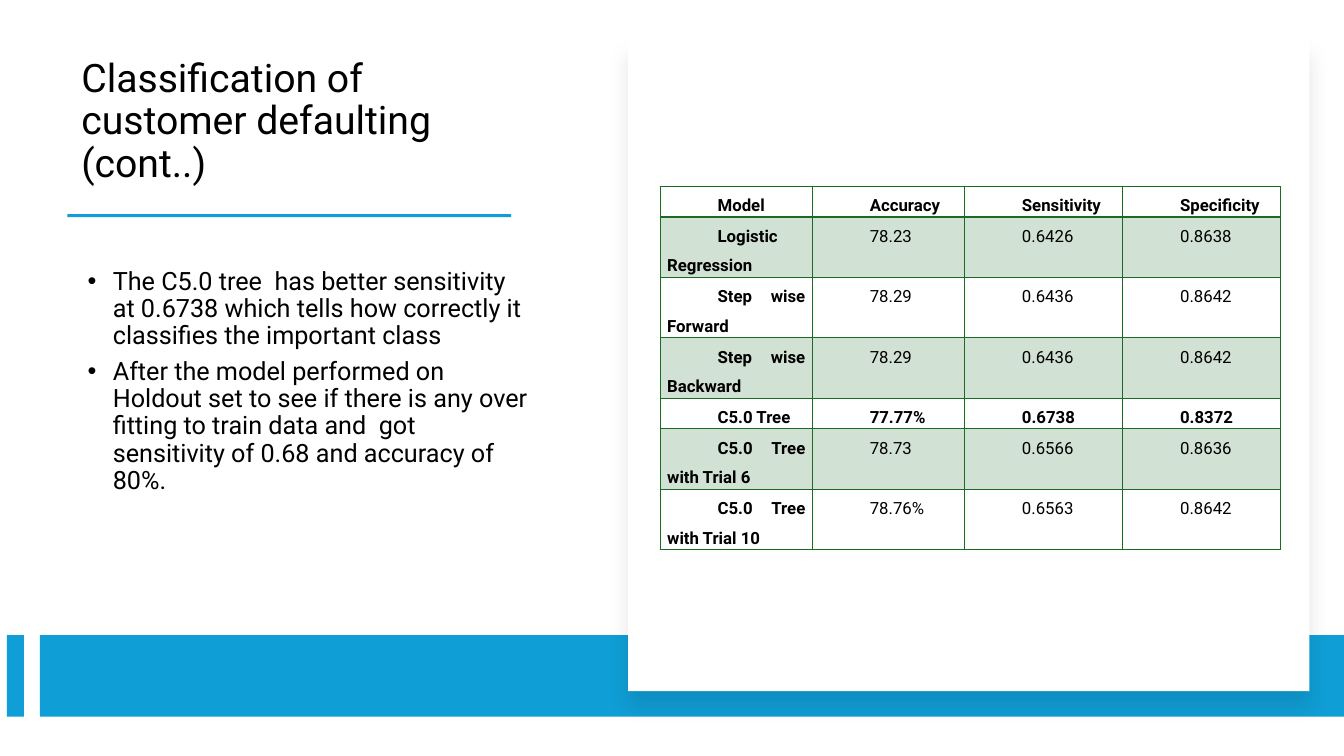
"""Build a slide on classification of customer defaulting."""
import lxml.etree
import pptx
import pptx.dml.color
import pptx.enum.shapes
import pptx.enum.text
import pptx.oxml.ns
import pptx.util

Pt = pptx.util.Pt
qn = pptx.oxml.ns.qn
Align = pptx.enum.text.PP_ALIGN
Anchor = pptx.enum.text.MSO_ANCHOR

TITLE = "Classification of customer defaulting (cont..)"
FINDINGS = [
    "The C5.0 tree  has better sensitivity at 0.6738 which tells how correctly it "
    "classifies the important class",
    "After the model performed on Holdout set to see if there is any over fitting to "
    "train data and  got sensitivity of 0.68 and accuracy of 80%.",
]
HEADER = ("Model", "Accuracy", "Sensitivity", "Specificity")
MODELS = [
    ("Logistic Regression", "78.23", "0.6426", "0.8638"),
    ("Step wise Forward", "78.29", "0.6436", "0.8642"),
    ("Step wise Backward", "78.29", "0.6436", "0.8642"),
    ("C5.0 Tree", "77.77%", "0.6738", "0.8372"),
    ("C5.0 Tree with Trial 6", "78.73", "0.6566", "0.8636"),
    ("C5.0 Tree with Trial 10", "78.76%", "0.6563", "0.8642"),
]
BEST_MODEL = "C5.0 Tree"
THEME = {
    "font": "Roboto", "title": 28, "body": 18, "table": 12,
    "text": "000000", "accent": "0F9ED5", "card": "FFFFFF", "grid": "196B24",
    "shadow": "000000",
}

SLIDE_WIDTH, SLIDE_HEIGHT = 960, 540
TEXT_LEFT, TEXT_WIDTH = 51, 337
FOOTER_TOP, FOOTER_HEIGHT = 453.6, 58.3
FOOTER_LEFT = 28.4
TABLE_LEFT, TABLE_TOP = 471.6, 133.2
COLUMN_WIDTHS = (108.7, 108.7, 113, 113)
ONE_LINE, TWO_LINES = 21.5, 42.4


def color(name):
    return pptx.dml.color.RGBColor.from_string(THEME[name])


def add_xml(parent, tag, **attributes):
    return lxml.etree.SubElement(parent, qn(tag), attributes)


def style(para, size, spacing, margin=0, indent=0, bold=False, bullet=False):
    para.line_spacing = spacing
    properties = para._p.get_or_add_pPr()
    properties.set("marL", str(Pt(margin)))
    properties.set("indent", str(Pt(indent)))
    if bullet:
        para.space_after = Pt(6)
        add_xml(properties, "a:buFont", typeface="Arial")
        add_xml(properties, "a:buChar", char="•")
    font = para.font
    font.name = THEME["font"]
    font.size = Pt(THEME[size])
    font.bold = bold
    font.color.rgb = color("text")


def add_text(slide, top, height, anchor):
    box = slide.shapes.add_textbox(Pt(TEXT_LEFT), Pt(top), Pt(TEXT_WIDTH), Pt(height))
    box.text_frame.word_wrap = True
    box.text_frame.vertical_anchor = anchor
    return box.text_frame


def add_block(slide, left, top, width, height, fill):
    block = slide.shapes.add_shape(
        pptx.enum.shapes.MSO_SHAPE.RECTANGLE, Pt(left), Pt(top), Pt(width), Pt(height))
    block.shadow.inherit = False
    block.fill.solid()
    block.fill.fore_color.rgb = color(fill)
    block.line.fill.background()
    return block


def add_card_shadow(card):
    effects = card._element.spPr.find(qn("a:effectLst"))
    shadow = add_xml(effects, "a:outerShdw", blurRad=str(Pt(15)), dist=str(Pt(11)),
                     dir="5400000", algn="t", rotWithShape="0")
    tint = add_xml(shadow, "a:srgbClr", val=THEME["shadow"])
    add_xml(tint, "a:alpha", val="10000")


def add_borders(cell, row):
    widths = {"a:lnL": 1, "a:lnR": 1, "a:lnT": 2 if row == 1 else 1,
              "a:lnB": 2 if row == 0 else 1}
    for tag, width in widths.items():
        line = add_xml(cell._tc.get_or_add_tcPr(), tag, w=str(Pt(width)))
        add_xml(add_xml(line, "a:solidFill"), "a:srgbClr", val=THEME["grid"])


def fill_cell(cell, shaded):
    if not shaded:
        cell.fill.background()
        return
    cell.fill.solid()
    cell.fill.fore_color.rgb = color("grid")
    tint = cell._tc.tcPr.find(qn("a:solidFill")).find(qn("a:srgbClr"))
    add_xml(tint, "a:alpha", val="20000")


def add_model_table(slide):
    rows = [HEADER] + MODELS
    heights = [ONE_LINE if row[0] in (HEADER[0], BEST_MODEL) else TWO_LINES for row in rows]
    table = slide.shapes.add_table(
        len(rows), len(HEADER), Pt(TABLE_LEFT), Pt(TABLE_TOP),
        Pt(sum(COLUMN_WIDTHS)), Pt(sum(heights))).table
    table.first_row = table.horz_banding = False
    for column, width in zip(table.columns, COLUMN_WIDTHS):
        column.width = Pt(width)
    for r, (row, height) in enumerate(zip(rows, heights)):
        table.rows[r].height = Pt(height)
        for c, value in enumerate(row):
            cell = table.cell(r, c)
            cell.margin_left = cell.margin_right = Pt(5)
            cell.margin_top = cell.margin_bottom = 0
            add_borders(cell, r)
            fill_cell(cell, r % 2 == 1)
            para = cell.text_frame.paragraphs[0]
            para.text = value
            para.alignment = Align.JUSTIFY
            bold = r == 0 or c == 0 or row[0] == BEST_MODEL
            style(para, "table", 1.5, indent=36, bold=bold)


def main():
    deck = pptx.Presentation()
    deck.slide_width, deck.slide_height = Pt(SLIDE_WIDTH), Pt(SLIDE_HEIGHT)
    slide = deck.slides.add_slide(deck.slide_layouts[6])

    title = add_text(slide, 41.8, 94.3, Anchor.BOTTOM).paragraphs[0]
    title.text = TITLE
    style(title, "title", 0.9)
    add_block(slide, 48.2, 153, 317, 2.2, "accent")

    body = add_text(slide, 160, 276.5, Anchor.MIDDLE)
    body.margin_bottom = Pt(54.6)
    for i, finding in enumerate(FINDINGS):
        para = body.add_paragraph() if i else body.paragraphs[0]
        para.text = finding
        style(para, "body", 0.9, margin=22.5, indent=-18, bullet=True)

    add_block(slide, 5, FOOTER_TOP, 12.2, FOOTER_HEIGHT, "accent")
    add_block(slide, FOOTER_LEFT, FOOTER_TOP, SLIDE_WIDTH - FOOTER_LEFT, FOOTER_HEIGHT, "accent")
    add_card_shadow(add_block(slide, 448.6, 28, 486.7, 465.8, "card"))
    add_model_table(slide)
    deck.save("out.pptx")


if __name__ == "__main__":
    main()
